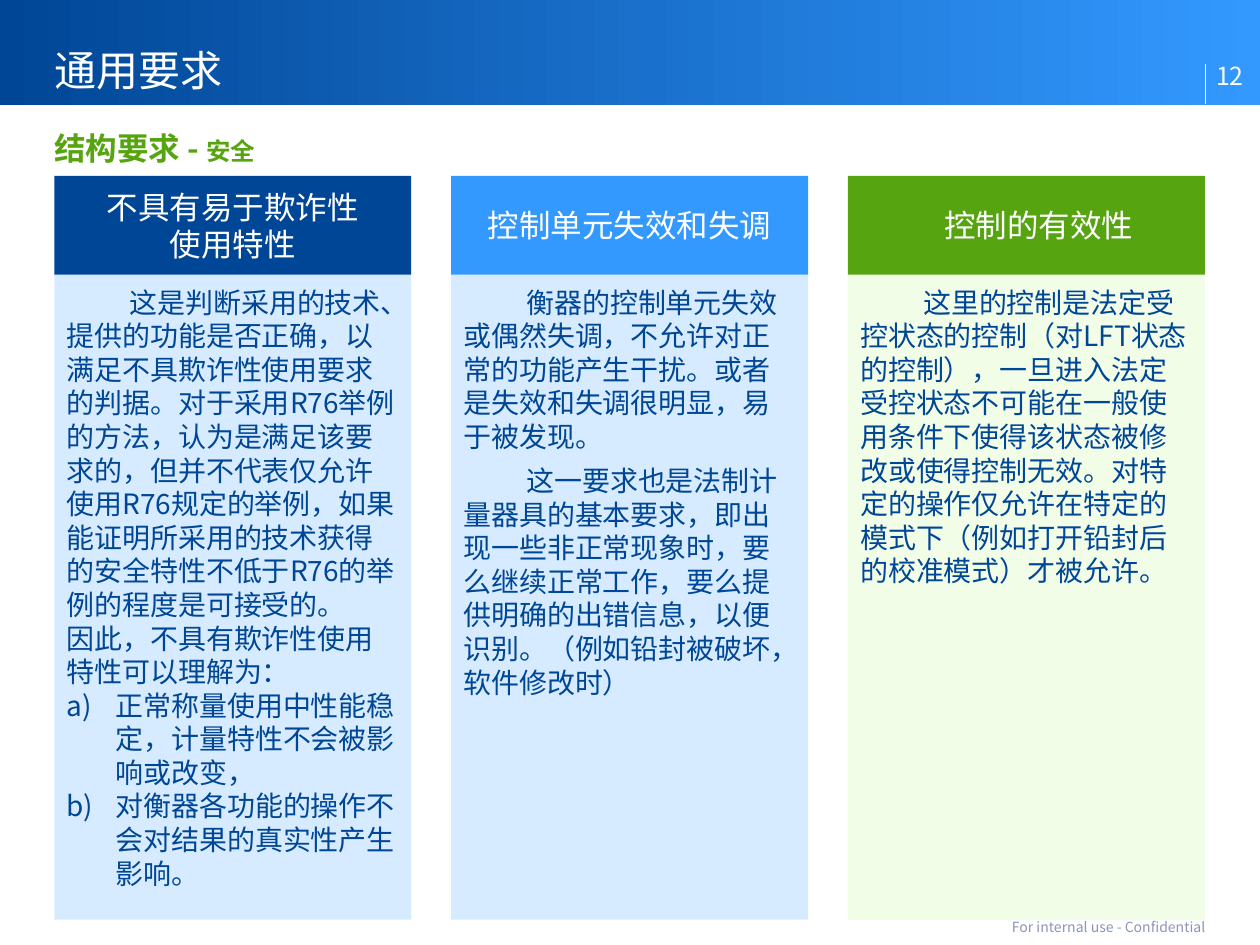
import pptx
import pptx.util
import pptx.dml.color
import pptx.enum.shapes
import pptx.enum.text
import pptx.oxml.ns
import lxml.etree
from dataclasses import dataclass

Pt = pptx.util.Pt
Anchor = pptx.enum.text.MSO_ANCHOR
Align = pptx.enum.text.PP_ALIGN
Shape = pptx.enum.shapes.MSO_SHAPE


@dataclass(frozen=True)
class Theme:
    """Colours, font and type sizes of the deck."""
    navy: str = "004696"
    blue: str = "3399FF"
    green: str = "56A410"
    sky: str = "D6EBFF"
    mint: str = "F2FDE8"
    white: str = "FFFFFF"
    gray: str = "8C94B8"
    font: str = "Noto Sans CJK SC"
    title: float = 24
    head: float = 18
    body: float = 16
    sub: float = 14
    page: float = 14.2
    foot: float = 8


theme = Theme()

COLUMNS = [
    (theme.navy, theme.sky, ["不具有易于欺诈性", "使用特性"], 0, 0, [
        ("first", "这是判断采用的技术、提供的功能是否正确，以满足不具欺诈性使用要求的判据。"
         "对于采用R76举例的方法，认为是满足该要求的，但并不代表仅允许使用R76规定的举例，"
         "如果能证明所采用的技术获得的安全特性不低于R76的举例的程度是可接受的。"),
        ("plain", "因此，不具有欺诈性使用特性可以理解为："),
        ("list", "正常称量使用中性能稳定，计量特性不会被影响或改变，"),
        ("list", "对衡器各功能的操作不会对结果的真实性产生影响。")]),
    (theme.blue, theme.sky, ["控制单元失效和失调"], 0, 6, [
        ("first", "衡器的控制单元失效或偶然失调，不允许对正常的功能产生干扰。"
         "或者是失效和失调很明显，易于被发现。"),
        ("first", "这一要求也是法制计量器具的基本要求，即出现一些非正常现象时，要么继续正常工作，"
         "要么提供明确的出错信息，以便识别。（例如铅封被破坏，软件修改时）")]),
    (theme.green, theme.mint, ["控制的有效性"], 14, 6, [
        ("first", "这里的控制是法定受控状态的控制（对LFT状态的控制），一旦进入法定受控状态"
         "不可能在一般使用条件下使得该状态被修改或使得控制无效。对特定的操作仅允许在特定的模式下"
         "（例如打开铅封后的校准模式）才被允许。")]),
]
INDENT = {"first": (0, 36), "plain": (0, 0), "list": (28, -28)}


def rgb(code):
    """Turn a hex code into a colour."""
    return pptx.dml.color.RGBColor.from_string(code)


def write(para, text, size, color, bold=False):
    """Add one run in the theme font for both scripts."""
    run = para.add_run()
    run.text = text
    font = run.font
    font.size, font.bold, font.name = Pt(size), bold, theme.font
    font.color.rgb = rgb(color)
    east = lxml.etree.Element(pptx.oxml.ns.qn("a:ea"), typeface=theme.font)
    run._r.rPr.find(pptx.oxml.ns.qn("a:latin")).addnext(east)


def indent(para, left, first):
    """Set the left margin and first-line indent."""
    props = para._p.get_or_add_pPr()
    props.set("marL", str(Pt(left)))
    props.set("indent", str(Pt(first)))
    return props


def frame(shape, pads, anchor):
    """Prepare the text frame of a shape and return it."""
    text = shape.text_frame
    text.word_wrap = True
    text.vertical_anchor = anchor
    text.margin_left, text.margin_top, text.margin_right, text.margin_bottom = map(Pt, pads)
    return text


def panel(slide, box, fill=None):
    """Add a rectangle without outline or shadow."""
    shape = slide.shapes.add_shape(Shape.RECTANGLE, *map(Pt, box))
    shape.shadow.inherit = False
    shape.line.fill.background()
    if fill:
        shape.fill.solid()
        shape.fill.fore_color.rgb = rgb(fill)
    return shape


def label(slide, box, pads, anchor, parts, color, bold=False):
    """Add a one-line text box of (text, size) parts and return its paragraph."""
    shape = slide.shapes.add_textbox(*map(Pt, box))
    para = frame(shape, pads, anchor).paragraphs[0]
    for text, size in parts:
        write(para, text, size, color, bold)
    return para


def banner(slide, box):
    """Draw the top band with the title and page number."""
    left, top, width, height = box
    band = panel(slide, box)
    band.fill.gradient()
    band.fill.gradient_angle = 0
    for stop, color, place in zip(band.fill.gradient_stops, (theme.navy, theme.blue), (0, 1)):
        stop.color.rgb = rgb(color)
        stop.position = place
    edge = left + width - 31
    rule = slide.shapes.add_connector(
        pptx.enum.shapes.MSO_CONNECTOR.STRAIGHT,
        Pt(edge), Pt(top + height - 0.5), Pt(edge), Pt(top + 36.5))
    rule.line.color.rgb = rgb(theme.white)
    rule.line.width = Pt(0.5)
    lxml.etree.SubElement(rule._element.spPr, pptx.oxml.ns.qn("a:effectLst"))
    title = label(slide, (left + 31, top + 15, 544, height - 15), (0, 0, 0, 6),
                  Anchor.BOTTOM, [("通用要求", theme.title)], theme.white)
    title.line_spacing = Pt(26)
    label(slide, (edge, top + 26, 31, height - 26.5), (6, 0, 0, 8),
          Anchor.BOTTOM, [("12", theme.page)], theme.white)


def column(slide, box, data):
    """Draw a heading block above its body panel."""
    left, top, width, height = box
    dark, pale, heads, shift, gap, paras = data
    cap = 56.5
    body = panel(slide, (left, top + cap, width, height - cap), pale)
    text = frame(body, (7.2, 6, 7.2, 3.6), Anchor.TOP)
    for num, (kind, words) in enumerate(paras):
        para = text.add_paragraph() if num else text.paragraphs[0]
        para.alignment = Align.LEFT
        para.space_after = Pt(gap)
        props = indent(para, *INDENT[kind])
        if kind == "list":
            lxml.etree.SubElement(props, pptx.oxml.ns.qn("a:buAutoNum"), type="alphaLcParenR")
        write(para, words, theme.body, theme.navy)
    head = panel(slide, (left, top, width, cap), dark)
    para = frame(head, (7.2, 3.6, 7.2, 3.6), Anchor.MIDDLE).paragraphs[0]
    para.alignment = Align.CENTER
    indent(para, shift, 0)
    for num, words in enumerate(heads):
        if num:
            para.add_line_break()
        write(para, words, theme.head, theme.white)


def columns(slide, box):
    """Spread the columns evenly across the box."""
    left, top, width, height = box
    wide = 204
    step = (width - wide) / (len(COLUMNS) - 1)
    for num, data in enumerate(COLUMNS):
        column(slide, (left + num * step, top, wide, height), data)


def main():
    """Build and save the slide."""
    deck = pptx.Presentation()
    deck.slide_width, deck.slide_height = Pt(720), Pt(540)
    slide = deck.slides.add_slide(deck.slide_layouts[6])
    banner(slide, (0, 0, 720, 60))
    label(slide, (31, 73.5, 658, 26), (0, 0, 0, 6), Anchor.TOP,
          [("结构要求 - ", theme.head), ("安全", theme.sub)], theme.green, True)
    columns(slide, (31, 100.5, 657.5, 425))
    foot = label(slide, (31, 523.5, 658, 12), (0, 3.6, 0, 3.6), Anchor.MIDDLE,
                 [("For internal use - Confidential", theme.foot)], theme.gray)
    foot.alignment = Align.RIGHT
    deck.save("out.pptx")


if __name__ == "__main__":
    main()
